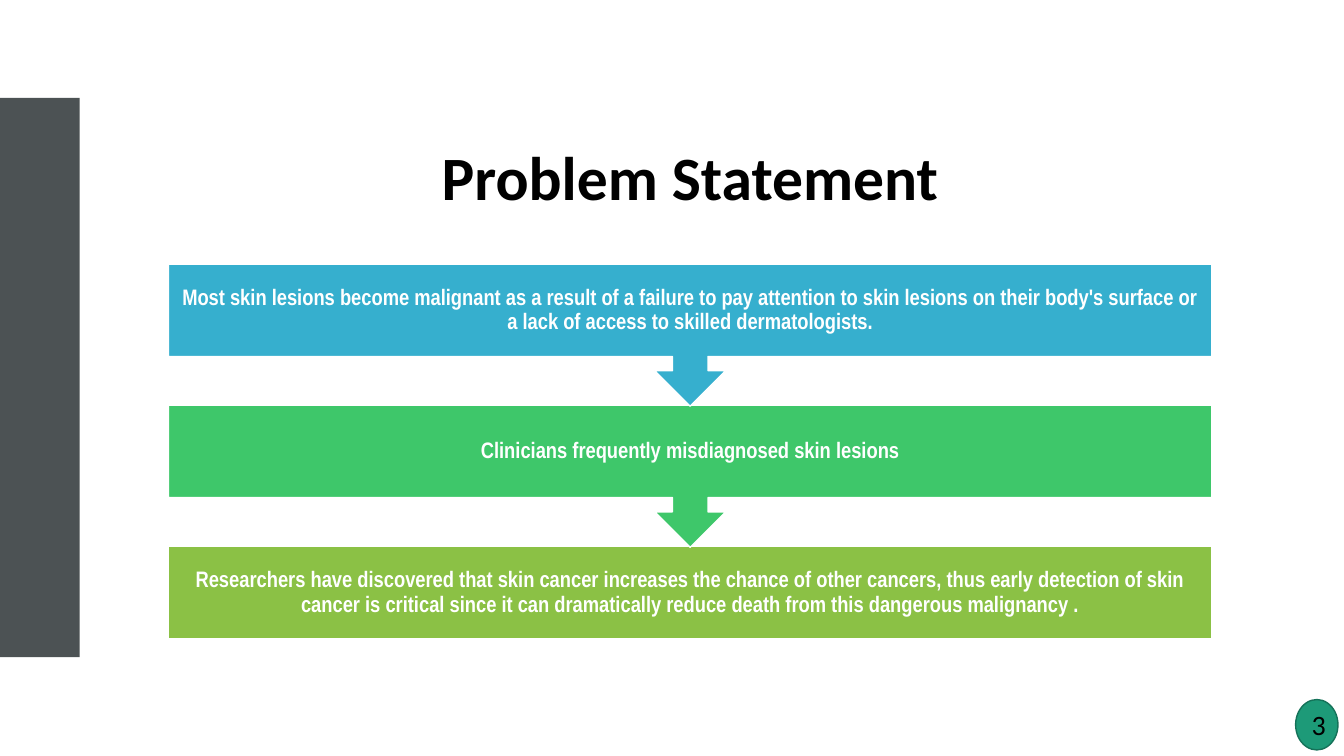
from lxml import etree
from pptx import Presentation
from pptx.dml.color import RGBColor
from pptx.enum.shapes import MSO_SHAPE
from pptx.enum.text import MSO_ANCHOR, PP_ALIGN
from pptx.oxml.ns import qn
from pptx.util import Inches, Pt

RECTANGLE = MSO_SHAPE.RECTANGLE
ARROW_CALLOUT = MSO_SHAPE.UP_ARROW_CALLOUT
OVAL = MSO_SHAPE.OVAL
MIDDLE = MSO_ANCHOR.MIDDLE
CENTER = PP_ALIGN.CENTER

CONTENT_LEFT, CONTENT_WIDTH = 1.67, 10.35
FIRST_STEP_TOP, STEP_PITCH = 2.62, 1.4
STEP_HEIGHT, CALLOUT_HEIGHT = 0.92, 1.41
STEPS = [
    ("Most skin lesions become malignant as a result of a failure to pay attention "
     "to skin lesions on their body's surface or a lack of access to skilled "
     "dermatologists.", "36AFCE"),
    ("Clinicians frequently misdiagnosed skin lesions", "3EC76A"),
    ("Researchers have discovered that skin cancer increases the chance of other "
     "cancers, thus early detection of skin cancer is critical since it can "
     "dramatically reduce death from this dangerous malignancy .", "8BC145"),
]


def color(value):
    return RGBColor.from_string(value)


class SlideBuilder:
    """Draws styled elements on the current slide."""

    heading_font = "Calibri"
    step_font = "Arial Narrow"
    dark = "000000"
    light = "FFFFFF"

    def __init__(self, slide):
        self.slide = slide

    def shape(self, kind, left, top, width, height, fill, line=None, opacity=None):
        shape = self.slide.shapes.add_shape(
            kind, Inches(left), Inches(top), Inches(width), Inches(height))
        shape.shadow.inherit = False
        shape.fill.solid()
        shape.fill.fore_color.rgb = color(fill)
        if line:
            shape.line.color.rgb = color(line)
            shape.line.width = Pt(1)
        else:
            shape.line.fill.background()
        if opacity is not None:
            tint = shape.element.spPr.find(qn("a:solidFill"))[0]
            etree.SubElement(tint, qn("a:alpha")).set("val", str(opacity * 1000))
        return shape

    def set_text(self, frame, text, font, size, ink, bold=False, spacing=None):
        frame.word_wrap = True
        frame.vertical_anchor = MIDDLE
        frame.text = text
        paragraph = frame.paragraphs[0]
        paragraph.alignment = CENTER
        paragraph.line_spacing = spacing
        style = paragraph.runs[0].font
        style.name, style.size, style.bold = font, Pt(size), bold
        style.color.rgb = color(ink)

    def text_box(self, top, height, text, font, size, ink, inset=None):
        box = self.slide.shapes.add_textbox(
            Inches(CONTENT_LEFT), Inches(top), Inches(CONTENT_WIDTH), Inches(height))
        frame = box.text_frame
        if inset is not None:
            frame.margin_left = frame.margin_right = Inches(inset)
            frame.margin_top = frame.margin_bottom = Inches(inset)
        self.set_text(frame, text, font, size, ink, bold=True, spacing=0.9)

    def title(self, text):
        self.text_box(1.15, 1.29, text, self.heading_font, 44, self.dark)

    def step(self, top, text, fill, is_last):
        kind, height = (RECTANGLE, STEP_HEIGHT) if is_last else (ARROW_CALLOUT, CALLOUT_HEIGHT)
        band = self.shape(kind, CONTENT_LEFT, top, CONTENT_WIDTH, height, fill, self.light)
        if not is_last:
            band.rotation = 180
        self.text_box(top, STEP_HEIGHT, text, self.step_font, 16, self.light, inset=0.12)

    def page_badge(self, number):
        badge = self.shape(OVAL, 12.85, 6.94, 0.42, 0.5, "1D9A78", "157259")
        self.set_text(badge.text_frame, number, self.heading_font, 20, self.dark)


def main():
    deck = Presentation()
    deck.slide_width, deck.slide_height = Inches(13.33), Inches(7.5)
    builder = SlideBuilder(deck.slides.add_slide(deck.slide_layouts[6]))

    builder.shape(RECTANGLE, 0, 0.97, 0.79, 5.55, "4C5254")
    builder.shape(RECTANGLE, 1.31, 0.97, 12.02, 5.55, "FFFFFF", opacity=80)
    builder.title("Problem Statement")
    last = len(STEPS) - 1
    for index, (text, fill) in reversed(list(enumerate(STEPS))):
        builder.step(FIRST_STEP_TOP + index * STEP_PITCH, text, fill, index == last)
    builder.page_badge("3")

    deck.save("out.pptx")


if __name__ == "__main__":
    main()
